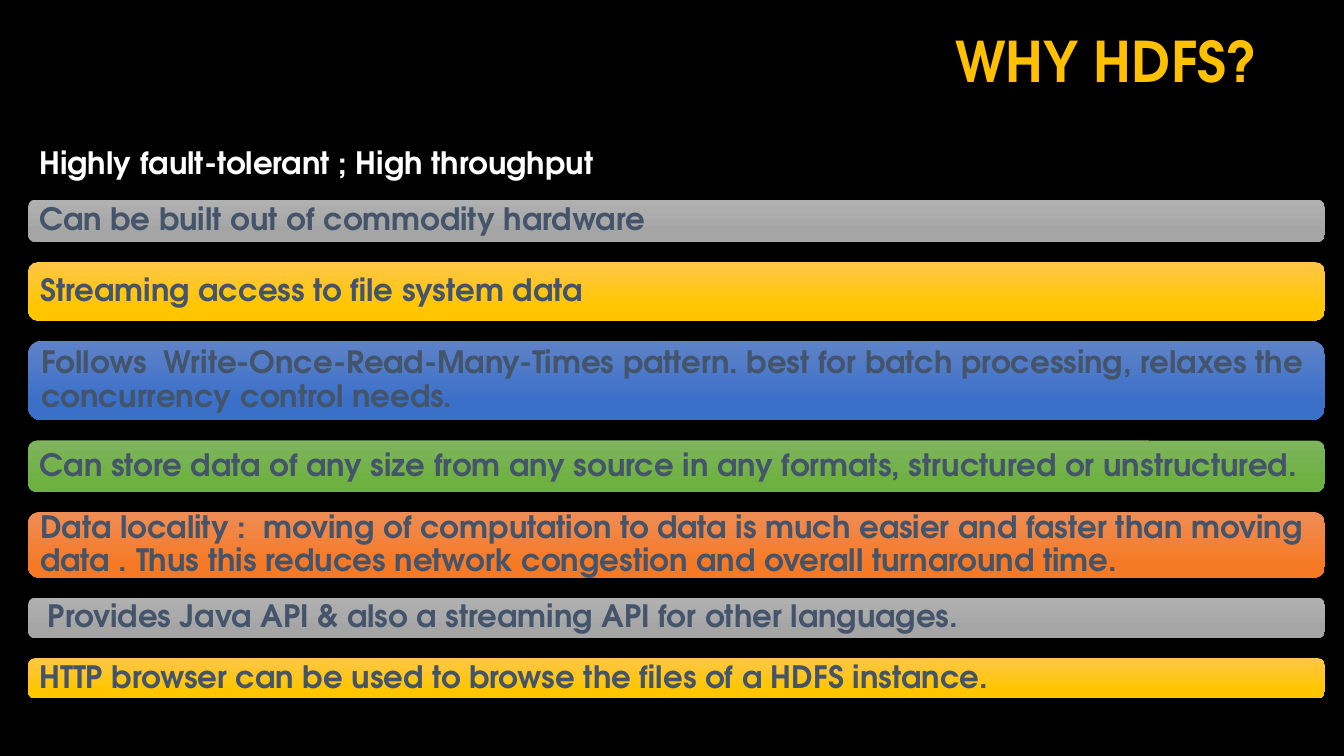
from dataclasses import dataclass

from pptx import Presentation
from pptx.dml.color import RGBColor
from pptx.enum import shapes, text
from pptx.slide import Slide
from pptx.text.text import TextFrame
from pptx.util import Inches, Pt

FONT = "TeX Gyre Adventor"
BLACK = RGBColor(0x00, 0x00, 0x00)
WHITE = RGBColor(0xFF, 0xFF, 0xFF)
GOLD = RGBColor(0xFF, 0xC0, 0x00)
SLATE = RGBColor(0x44, 0x54, 0x6A)

BAR_LEFT, BAR_WIDTH = 0.28, 12.86
FIRST_BAR_TOP, BAR_GAP = 1.98, 0.2


@dataclass(frozen=True)
class Gradient:
    top: RGBColor
    bottom: RGBColor


GRAY_FILL = Gradient(RGBColor(0xB0, 0xB0, 0xB0), RGBColor(0xA5, 0xA5, 0xA5))
YELLOW_FILL = Gradient(RGBColor(0xFF, 0xC6, 0x47), RGBColor(0xFF, 0xC6, 0x00))
BLUE_FILL = Gradient(RGBColor(0x5E, 0x82, 0xC8), RGBColor(0x3B, 0x70, 0xC9))
GREEN_FILL = Gradient(RGBColor(0x7F, 0xB4, 0x5F), RGBColor(0x6E, 0xB1, 0x41))
ORANGE_FILL = Gradient(RGBColor(0xEE, 0x8C, 0x55), RGBColor(0xF6, 0x7A, 0x26))


@dataclass(frozen=True)
class Bar:
    wording: str
    height: float
    gradient: Gradient


BARS = [
    Bar("Can be built out of commodity hardware", 0.42, GRAY_FILL),
    Bar("Streaming access to file system data", 0.58, YELLOW_FILL),
    Bar("Follows  Write-Once-Read-Many-Times pattern. best for batch processing, "
        "relaxes the concurrency control needs.", 0.79, BLUE_FILL),
    Bar("Can store data of any size from any source in any formats, "
        "structured or unstructured.", 0.51, GREEN_FILL),
    Bar("Data locality :  moving of computation to data is much easier and faster "
        "than moving data . Thus this reduces network congestion and overall "
        "turnaround time.", 0.65, ORANGE_FILL),
    Bar(" Provides Java API & also a streaming API for other languages.", 0.4, GRAY_FILL),
    Bar("HTTP browser can be used to browse the files of a HDFS instance.", 0.4, YELLOW_FILL),
]


def write_text(frame: TextFrame, wording: str, size: float, color: RGBColor,
               alignment: text.PP_ALIGN = text.PP_ALIGN.LEFT) -> None:
    frame.word_wrap = True
    frame.auto_size = text.MSO_AUTO_SIZE.NONE
    frame.vertical_anchor = text.MSO_ANCHOR.MIDDLE
    paragraph = frame.paragraphs[0]
    paragraph.alignment = alignment
    paragraph.line_spacing = 0.9
    run = paragraph.add_run()
    run.text = wording
    run.font.name = FONT
    run.font.size = Pt(size)
    run.font.bold = True
    run.font.color.rgb = color


def write_statement(frame: TextFrame, wording: str, color: RGBColor) -> None:
    frame.margin_left = frame.margin_right = Inches(0.09)
    frame.margin_top = frame.margin_bottom = Inches(0.09)
    write_text(frame, wording, 22, color)


def add_title(slide: Slide) -> None:
    title = slide.shapes.title
    title.left, title.top = Inches(1.44), Inches(0.26)
    title.width, title.height = Inches(11.14), Inches(0.76)
    write_text(title.text_frame, "WHY HDFS?", 40, GOLD, text.PP_ALIGN.RIGHT)


def add_bar(slide: Slide, bar: Bar, top: float) -> None:
    shape = slide.shapes.add_shape(
        shapes.MSO_SHAPE.ROUNDED_RECTANGLE,
        Inches(BAR_LEFT), Inches(top), Inches(BAR_WIDTH), Inches(bar.height))
    shape.shadow.inherit = False
    shape.line.fill.background()
    shape.fill.gradient()
    shape.fill.gradient_angle = 270
    upper, lower = shape.fill.gradient_stops
    upper.position, upper.color.rgb = 0, bar.gradient.top
    lower.position, lower.color.rgb = 0.78, bar.gradient.bottom
    write_statement(shape.text_frame, bar.wording, SLATE)


def main() -> None:
    presentation = Presentation()
    presentation.slide_width, presentation.slide_height = Inches(13.33), Inches(7.5)
    slide = presentation.slides.add_slide(presentation.slide_layouts.get_by_name("Title Only"))
    slide.background.fill.solid()
    slide.background.fill.fore_color.rgb = BLACK

    add_title(slide)
    top = FIRST_BAR_TOP
    for bar in BARS:
        add_bar(slide, bar, top)
        top += bar.height + BAR_GAP
    lead = slide.shapes.add_textbox(Inches(0.3), Inches(1.44), Inches(12.82), Inches(0.39))
    write_statement(lead.text_frame, "Highly fault-tolerant ; High throughput", WHITE)

    presentation.save("out.pptx")


if __name__ == "__main__":
    main()
